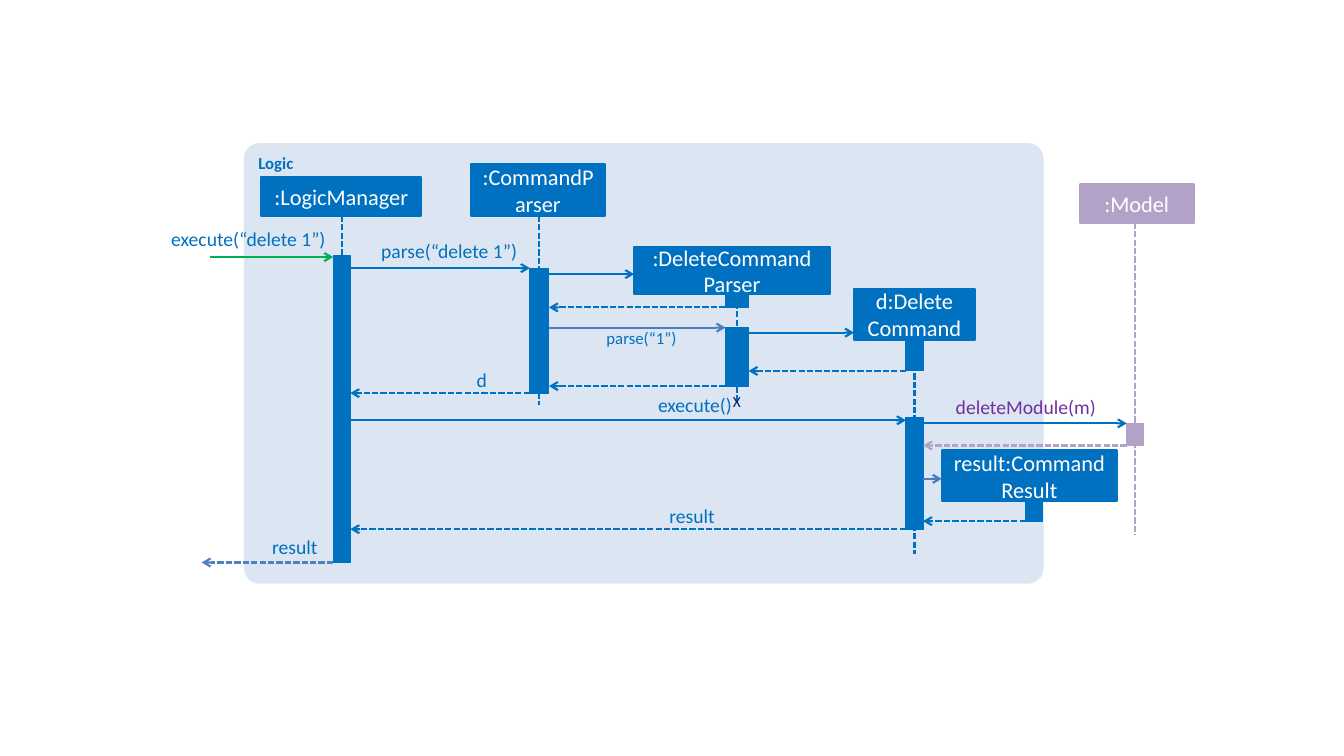
from lxml import etree
from pptx import Presentation
from pptx.dml.color import RGBColor
from pptx.enum.dml import MSO_LINE
from pptx.enum.shapes import MSO_CONNECTOR, MSO_SHAPE
from pptx.enum.text import MSO_ANCHOR, MSO_AUTO_SIZE, PP_ALIGN
from pptx.oxml.ns import qn
from pptx.util import Inches, Pt

RECT, ROUNDED = MSO_SHAPE.RECTANGLE, MSO_SHAPE.ROUNDED_RECTANGLE
STRAIGHT, DASH = MSO_CONNECTOR.STRAIGHT, MSO_LINE.SQUARE_DOT
TOP, MIDDLE = MSO_ANCHOR.TOP, MSO_ANCHOR.MIDDLE
LEFT, CENTER, RIGHT = PP_ALIGN.LEFT, PP_ALIGN.CENTER, PP_ALIGN.RIGHT
FIT = MSO_AUTO_SIZE.SHAPE_TO_FIT_TEXT

THEME = {
    "font": "Calibri", "line": 1.5, "bar_line": 0.75,
    "header": 16, "message": 14, "small": 12, "mark": 11,
    "logic": "0070C0", "model": "B3A2C7", "region": "DCE6F2", "white": "FFFFFF",
    "entry": "00B050", "exit": "4F81BD", "call": "4B7EBC",
    "model_call": "7030A0", "destroyed": "002060",
}

# Content: lengths in inches
REGION = ("Logic", (2.42, 1.42, 7.93, 4.37))

# name: paragraphs, header box, colour, lifeline x, lifeline end,
#       bar width, bars (top, bottom)
PARTICIPANTS = {
    "manager": ([":LogicManager"], (2.59, 1.76, 1.59, 0.38), "logic",
                3.39, 5.0, 0.17, [(2.54, 5.58)]),
    "parser": ([":CommandParser"], (4.67, 1.63, 1.33, 0.51), "logic",
               5.35, 4.02, 0.19, [(2.66, 3.9)]),
    "delete_parser": ([":DeleteCommand", "Parser"], (6.29, 2.45, 1.94, 0.47), "logic",
                      7.31, 4.0, 0.23, [(2.92, 3.05), (3.25, 3.83)]),
    "command": (["d:Delete\vCommand"], (8.47, 2.87, 1.2, 0.5), "logic",
                9.07, 5.5, 0.17, [(3.38, 3.68), (4.14, 5.25)]),
    "result": (["result:Command Result"], (9.34, 4.47, 1.74, 0.5), "logic",
               10.26, None, 0.17, [(4.98, 5.17)]),
    "model": ([":Model"], (10.71, 1.83, 1.13, 0.38), "model",
              11.26, 5.3, 0.17, [(4.2, 4.42)]),
}

# sender, receiver (a number is a point outside), y, kind, colour
MESSAGES = [
    (2.08, "manager", 2.55, "call", "entry"),
    ("manager", "parser", 2.66, "call", "logic"),
    ("parser", "delete_parser", 2.72, "create", "logic"),
    ("delete_parser", "parser", 3.05, "return", "logic"),
    ("parser", "delete_parser", 3.25, "call", "call"),
    ("delete_parser", "command", 3.3, "create", "logic"),
    ("command", "delete_parser", 3.68, "return", "logic"),
    ("delete_parser", "parser", 3.83, "return", "logic"),
    ("parser", "manager", 3.9, "return", "logic"),
    ("manager", "command", 4.17, "call", "logic"),
    ("command", "model", 4.2, "call", "logic"),
    ("model", "command", 4.42, "return", "model"),
    ("command", "result", 4.75, "create", "call"),
    ("result", "command", 5.17, "return", "logic"),
    ("command", "manager", 5.25, "return", "logic"),
    ("manager", 2.0, 5.58, "return", "exit"),
]

# text, right edge, top, width, size, colour
LABELS = [
    ("execute(“delete 1”)", 3.23, 2.25, 1.56, "message", "logic"),
    ("parse(“delete 1”)", 5.13, 2.37, 1.56, "message", "logic"),
    ("parse(“1”)", 6.71, 3.25, 0.84, "small", "logic"),
    ("d", 4.83, 3.65, 0.24, "message", "logic"),
    ("execute()", 7.26, 3.9, 0.94, "message", "logic"),
    ("deleteModule(m)", 10.87, 3.92, 1.56, "message", "model_call"),
    ("result", 7.09, 5.0, 0.68, "message", "logic"),
    ("result", 3.15, 5.31, 0.83, "message", "logic"),
]
DESTROYED = ("X", (7.17, 3.84, 0.28, 0.29))

prs = Presentation()
prs.slide_width, prs.slide_height = Inches(13.33), Inches(7.5)
slide = prs.slides.add_slide(prs.slide_layouts[6])


def colour(key):
    return RGBColor.from_string(THEME[key])


def write(frame, paragraphs, size, ink, align, bold=False):
    for i, text in enumerate(paragraphs):
        para = frame.paragraphs[0] if i == 0 else frame.add_paragraph()
        para.alignment = align
        for j, part in enumerate(text.split("\v")):
            if j:
                para.add_line_break()
            run = para.add_run()
            run.text = part
            run.font.name, run.font.size = THEME["font"], Pt(THEME[size])
            run.font.bold, run.font.color.rgb = bold, colour(ink)


def block(box, fill, outline=None, preset=RECT):
    shape = slide.shapes.add_shape(preset, *map(Inches, box))
    shape.shadow.inherit = False
    shape.fill.solid()
    shape.fill.fore_color.rgb = colour(fill)
    if outline:
        shape.line.color.rgb = colour(fill)
        shape.line.width = Pt(THEME[outline])
    else:
        shape.line.fill.background()
    return shape


def line(x1, y1, x2, y2, ink, dashed, arrow):
    connector = slide.shapes.add_connector(STRAIGHT, *map(Inches, (x1, y1, x2, y2)))
    connector.line.color.rgb = colour(ink)
    connector.line.width = Pt(THEME["line"])
    if dashed:
        connector.line.dash_style = DASH
    properties = connector._element.spPr
    if arrow:
        etree.SubElement(properties.find(qn("a:ln")), qn("a:tailEnd"), type="arrow")
    etree.SubElement(properties, qn("a:effectLst"))


def text_box(text, box, size, ink, align, inset=None, wrap=True):
    frame = slide.shapes.add_textbox(*map(Inches, box)).text_frame
    frame.word_wrap, frame.auto_size = wrap, FIT
    if inset is not None:
        frame.margin_left = frame.margin_right = Inches(inset)
        frame.margin_top = frame.margin_bottom = Inches(inset)
    write(frame, [text], size, ink, align)


def bar_edge(end, side):
    """x of a participant's bar on the given side (-1 left, 1 right)."""
    if end not in PARTICIPANTS:
        return end
    x, width = PARTICIPANTS[end][3], PARTICIPANTS[end][5]
    return x + side * width / 2


def centre(end):
    return bar_edge(end, 0)


# Logic region
region_name, region_box = REGION
region = block(region_box, "region", preset=ROUNDED)
region.adjustments[0] = 0.035
region.text_frame.vertical_anchor = TOP
write(region.text_frame, [region_name], "small", "logic", LEFT, bold=True)

# Participants: lifeline, activation bars, header
for names, box, ink, x, end, width, bars in PARTICIPANTS.values():
    if end:
        line(x, box[1] + box[3], x, end, ink, dashed=True, arrow=False)
    for top, bottom in bars:
        block((x - width / 2, top, width, bottom - top), ink, "bar_line")
    header = block(box, ink, "line")
    header.text_frame.word_wrap = True
    header.text_frame.vertical_anchor = MIDDLE
    write(header.text_frame, names, "header", "white", CENTER)

# Messages run between facing bar edges; a creation ends at the header
for sender, receiver, y, kind, ink in MESSAGES:
    side = 1 if centre(receiver) > centre(sender) else -1
    start, stop = bar_edge(sender, side), bar_edge(receiver, -side)
    if kind == "create":
        stop = PARTICIPANTS[receiver][1][0]
    line(start, y, stop, y, ink, dashed=kind == "return", arrow=True)

# Message labels and the end of the delete parser
for text, right, top, width, size, ink in LABELS:
    text_box(text, (right - width, top, width, 0.24), size, ink, RIGHT, inset=0)
text_box(*DESTROYED, "mark", "destroyed", LEFT, wrap=False)

prs.save("out.pptx")
